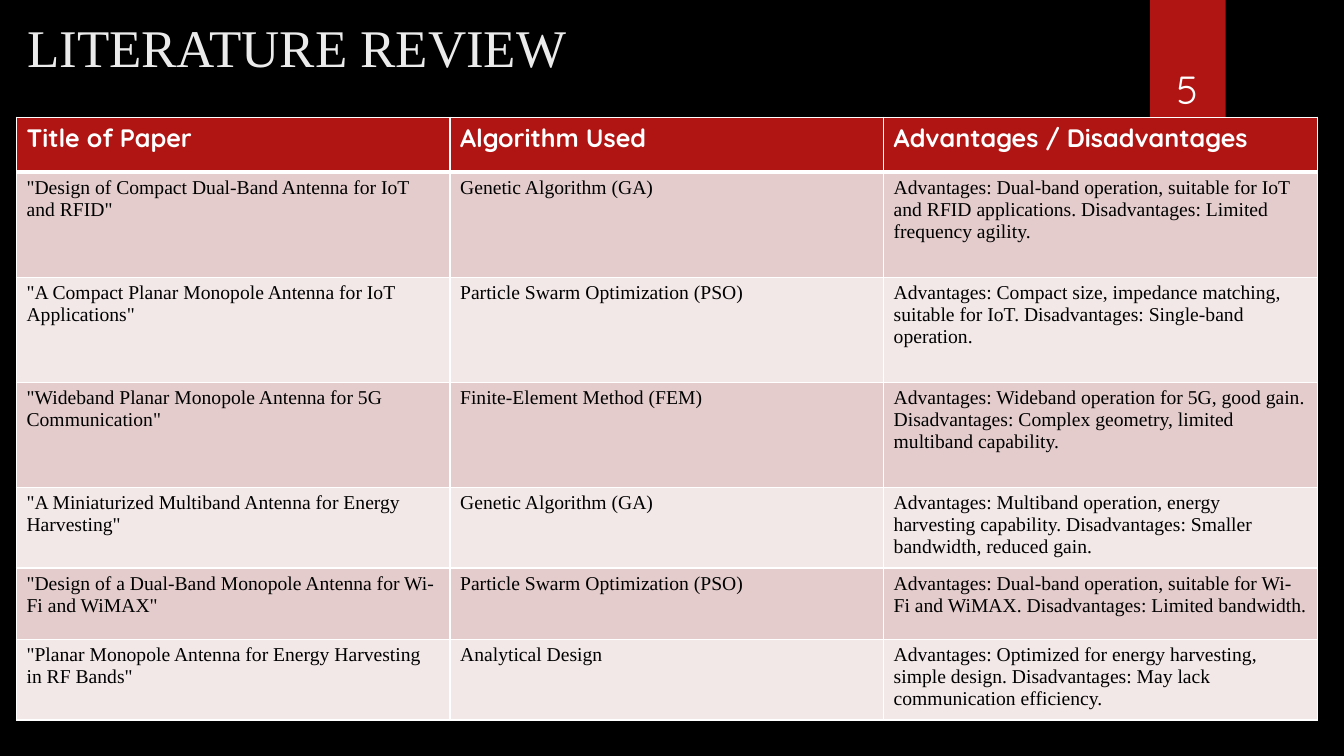
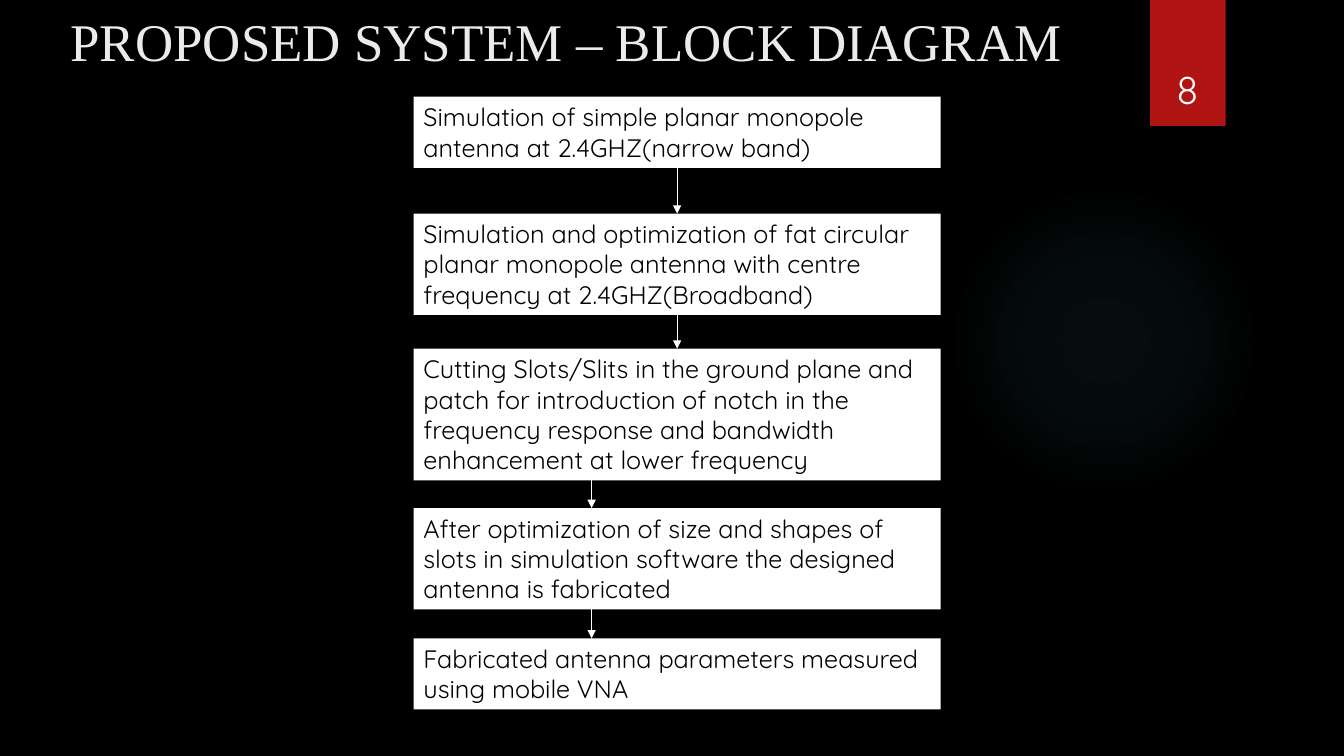
"""Builds a literature review table slide and a block diagram slide."""
from lxml.etree import SubElement
from pptx import Presentation
from pptx.dml.color import RGBColor
from pptx.enum.shapes import MSO_CONNECTOR, MSO_SHAPE
from pptx.enum.text import MSO_ANCHOR, MSO_AUTO_SIZE, PP_ALIGN
from pptx.oxml import parse_xml
from pptx.oxml.ns import nsdecls, qn
from pptx.util import Pt

COLORS = {"background": "000000", "accent": "B01513", "title": "EBEBEB", "white": "FFFFFF",
          "black": "000000", "band_dark": "E4CCCC", "band_light": "F2E8E7", "glow": "50B9C1"}
SERIF, SANS = "Times New Roman", "Quicksand"

REVIEW = {"title": "LITERATURE REVIEW", "number": "5", "box": (12.2, 1.4, 741, 48.2)}
DIAGRAM = {"title": "PROPOSED SYSTEM – BLOCK DIAGRAM", "number": "8", "box": (43.2, -2.9, 828, 50.4)}

PAPERS = [
    ("Title of Paper", "Algorithm Used", "Advantages / Disadvantages"),
    ('"Design of Compact Dual-Band Antenna for IoT and RFID"', "Genetic Algorithm (GA)",
     "Advantages: Dual-band operation, suitable for IoT and RFID applications. "
     "Disadvantages: Limited frequency agility."),
    ('"A Compact Planar Monopole Antenna for IoT Applications"', "Particle Swarm Optimization (PSO)",
     "Advantages: Compact size, impedance matching, suitable for IoT. "
     "Disadvantages: Single-band operation."),
    ('"Wideband Planar Monopole Antenna for 5G Communication"', "Finite-Element Method (FEM)",
     "Advantages: Wideband operation for 5G, good gain. "
     "Disadvantages: Complex geometry, limited multiband capability."),
    ('"A Miniaturized Multiband Antenna for Energy Harvesting"', "Genetic Algorithm (GA)",
     "Advantages: Multiband operation, energy harvesting capability. "
     "Disadvantages: Smaller bandwidth, reduced gain."),
    ('"Design of a Dual-Band Monopole Antenna for Wi-Fi and WiMAX"', "Particle Swarm Optimization (PSO)",
     "Advantages: Dual-band operation, suitable for Wi-Fi and WiMAX. "
     "Disadvantages: Limited bandwidth."),
    ('"Planar Monopole Antenna for Energy Harvesting in RF Bands"', "Analytical Design",
     "Advantages: Optimized for energy harvesting, simple design. "
     "Disadvantages: May lack communication efficiency."),
]
ROW_HEIGHTS = [39.3, 75, 75, 75, 51, 51, 51]

STEPS = [
    ("Simulation of simple planar monopole antenna at 2.4GHZ(narrow band)", 69.1, 2),
    ("Simulation and optimization of fat circular planar monopole antenna with centre "
     "frequency at 2.4GHZ(Broadband)", 152.6, 3),
    ("Cutting Slots/Slits in the ground plane and patch for introduction of notch in the "
     "frequency response and bandwidth enhancement at lower frequency", 249.1, 4),
    ("After optimization of size and shapes of slots in simulation software the designed "
     "antenna is fabricated", 362.9, 3),
    ("Fabricated antenna parameters measured using mobile VNA", 456, 2),
]
STEP_LEFT, STEP_WIDTH, STEP_LINE, STEP_PADDING = 295.4, 376.6, 21.6, 7.6
CENTRED_ARROWS, SIDE_ARROW_X = 2, 422.6


def rgb(name):
    return RGBColor.from_string(COLORS[name])


def write(frame, text, size, font=SANS, color="black", bold=False,
          align=PP_ALIGN.LEFT, anchor=MSO_ANCHOR.TOP):
    frame.word_wrap = True
    frame.vertical_anchor = anchor
    paragraph = frame.paragraphs[0]
    paragraph.alignment = align
    run = paragraph.add_run()
    run.text = text
    run.font.size = Pt(size)
    run.font.name = font
    run.font.bold = bold
    run.font.color.rgb = rgb(color)


def add_block(slide, kind, box, color):
    shape = slide.shapes.add_shape(kind, *map(Pt, box))
    shape.shadow.inherit = False
    shape.fill.solid()
    shape.fill.fore_color.rgb = rgb(color)
    shape.line.fill.background()
    return shape


def decorate_layout(layout, slide):
    glow = add_block(slide, MSO_SHAPE.OVAL, (677.5, 131.8, 221.8, 221.8), "glow")
    stops = "".join(
        f'<a:gs pos="{position}000"><a:srgbClr val="{COLORS["glow"]}">'
        f'<a:alpha val="{alpha}000"/></a:srgbClr></a:gs>'
        for position, alpha in ((0, 7), (36, 6), (69, 0)))
    gradient = parse_xml(
        f'<a:gradFill {nsdecls("a")} rotWithShape="1"><a:gsLst>{stops}</a:gsLst><a:path path="circle">'
        '<a:fillToRect l="50000" t="50000" r="50000" b="50000"/></a:path></a:gradFill>')
    properties = glow.element.spPr
    properties.replace(properties.find(qn("a:solidFill")), gradient)
    bookmark = add_block(slide, MSO_SHAPE.RECTANGLE, (821.5, 0, 54, 90), "accent")
    for identifier, shape in enumerate((glow, bookmark), 101):
        shape.element.nvSpPr.cNvPr.set("id", str(identifier))
        layout.shapes.element.append(shape.element)


def fill_heading(slide, content):
    title = slide.shapes.title
    title.left, title.top, title.width, title.height = map(Pt, content["box"])
    title.text_frame.auto_size = MSO_AUTO_SIZE.NONE
    title.text_frame.margin_top = Pt(9)
    write(title.text_frame, content["title"], 37.8, font=SERIF, color="title")
    number = slide.shapes.add_textbox(*map(Pt, (815, 23, 66.2, 60.5)))
    write(number.text_frame, content["number"], 28, color="white",
          align=PP_ALIGN.CENTER, anchor=MSO_ANCHOR.BOTTOM)


def set_borders(cell, **widths):
    properties = cell._tc.get_or_add_tcPr()
    for index, side in enumerate("LRTB"):
        properties.insert(index, parse_xml(
            f'<a:ln{side} {nsdecls("a")} w="{Pt(widths.get(side, 1))}"><a:solidFill>'
            f'<a:srgbClr val="{COLORS["white"]}"/></a:solidFill></a:ln{side}>'))


def add_papers(slide):
    table = slide.shapes.add_table(len(PAPERS), 3, Pt(11.8), Pt(83.8),
                                   Pt(929.1), Pt(sum(ROW_HEIGHTS))).table
    for column in table.columns:
        column.width = Pt(309.7)
    for row, (texts, height) in enumerate(zip(PAPERS, ROW_HEIGHTS)):
        table.rows[row].height = Pt(height)
        band = "accent" if row == 0 else ("band_light", "band_dark")[row % 2]
        style = ({"size": 18, "color": "white", "bold": True} if row == 0
                 else {"size": 14, "font": SERIF})
        widths = {0: {"B": 3}, 1: {"T": 3}}.get(row, {})
        for column, text in enumerate(texts):
            cell = table.cell(row, column)
            cell.fill.solid()
            cell.fill.fore_color.rgb = rgb(band)
            set_borders(cell, **widths)
            write(cell.text_frame, text, **style)
            cell.vertical_anchor = MSO_ANCHOR.TOP


def add_arrow(slide, upper, lower, centred):
    x = Pt(SIDE_ARROW_X)
    arrow = slide.shapes.add_connector(MSO_CONNECTOR.STRAIGHT, x, upper.top + upper.height, x, lower.top)
    if centred:
        arrow.begin_connect(upper, 2)
        arrow.end_connect(lower, 0)
    arrow.line.color.rgb = rgb("white")
    arrow.line.width = Pt(0.75)
    SubElement(arrow.line._get_or_add_ln(), qn("a:tailEnd"), type="triangle")
    SubElement(arrow.element.spPr, qn("a:effectLst"))


def add_steps(slide):
    blocks = []
    for text, top, lines in STEPS:
        box = (STEP_LEFT, top, STEP_WIDTH, lines * STEP_LINE + STEP_PADDING)
        block = add_block(slide, MSO_SHAPE.RECTANGLE, box, "white")
        write(block.text_frame, text, 18)
        block.text_frame.auto_size = MSO_AUTO_SIZE.SHAPE_TO_FIT_TEXT
        blocks.append(block)
    for index, (upper, lower) in enumerate(zip(blocks, blocks[1:])):
        add_arrow(slide, upper, lower, index < CENTRED_ARROWS)


def main():
    presentation = Presentation()
    presentation.slide_width, presentation.slide_height = Pt(960), Pt(540)
    background = presentation.slide_master.background.fill
    background.solid()
    background.fore_color.rgb = rgb("background")
    layout = presentation.slide_layouts[5]
    for content, add_body in ((REVIEW, add_papers), (DIAGRAM, add_steps)):
        slide = presentation.slides.add_slide(layout)
        if content is REVIEW:
            decorate_layout(layout, slide)
        fill_heading(slide, content)
        add_body(slide)
    presentation.save("out.pptx")


if __name__ == "__main__":
    main()
